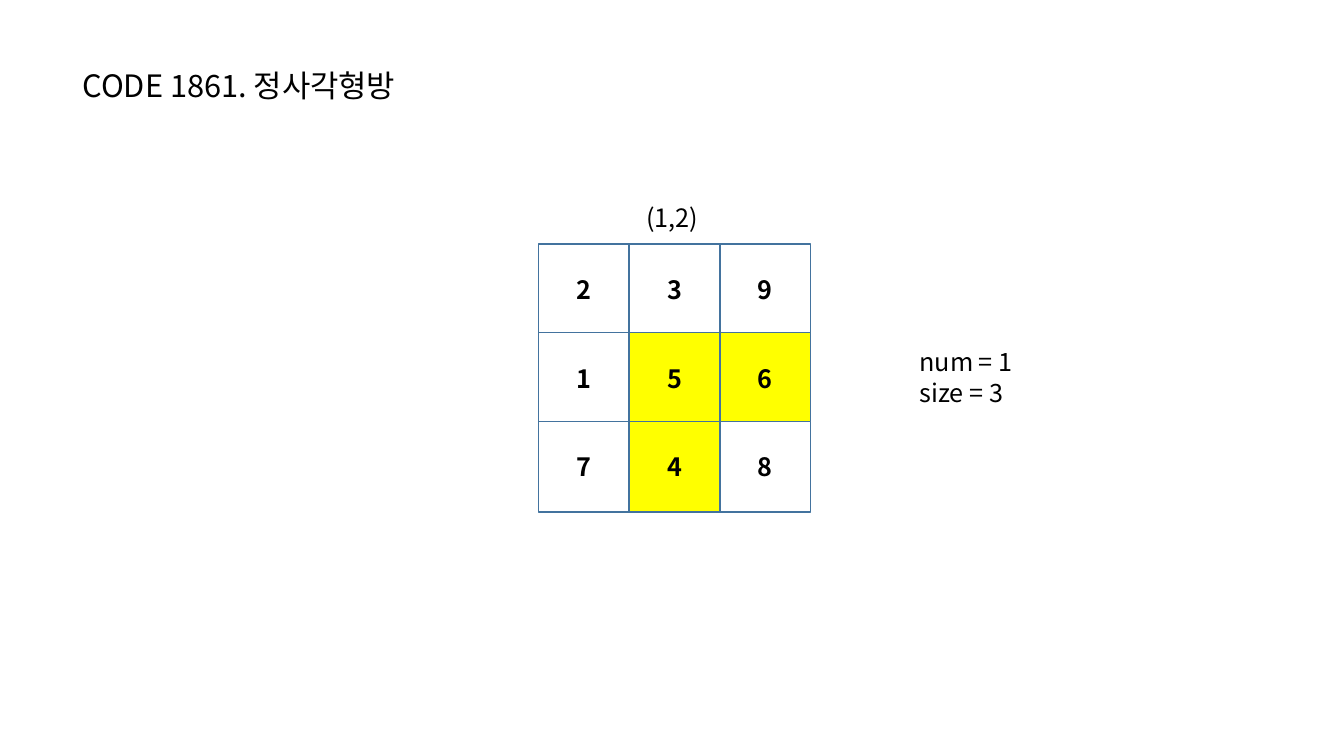
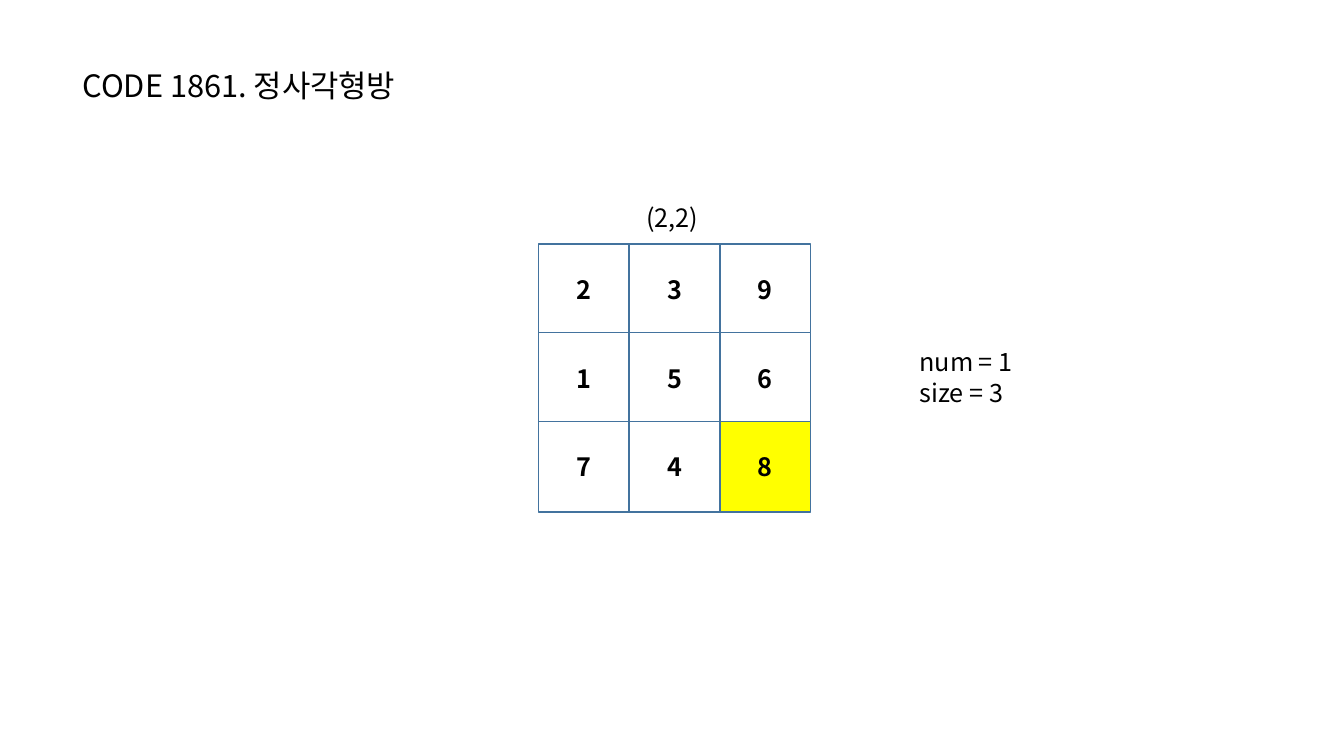
from dataclasses import dataclass

from lxml import etree
from pptx import Presentation
from pptx.dml.color import RGBColor
from pptx.enum.shapes import MSO_SHAPE
from pptx.enum.text import MSO_ANCHOR, MSO_AUTO_SIZE, PP_ALIGN
from pptx.oxml.ns import qn
from pptx.slide import Slide
from pptx.text.text import TextFrame
from pptx.util import Inches, Pt

RECT = MSO_SHAPE.RECTANGLE
MIDDLE = MSO_ANCHOR.MIDDLE
GROW = MSO_AUTO_SIZE.SHAPE_TO_FIT_TEXT
LEFT, CENTER = PP_ALIGN.LEFT, PP_ALIGN.CENTER


@dataclass(frozen=True)
class Theme:
    font: str = "Noto Sans CJK KR"
    ink: RGBColor = RGBColor(0, 0, 0)
    plain: RGBColor = RGBColor(255, 255, 255)
    mark: RGBColor = RGBColor(255, 255, 0)
    edge: RGBColor = RGBColor(0x43, 0x73, 0x9E)
    title: int = 22
    body: int = 18
    line: int = 1


@dataclass(frozen=True)
class Label:
    text: str
    left: float
    top: float
    width: float
    height: float
    size: int
    wrap: bool = False


@dataclass(frozen=True)
class Step:
    point: str
    marked: frozenset[int]


THEME = Theme()
TITLE = Label("CODE 1861. 정사각형방", 0.72, 0.61, 4.2, 0.47, THEME.title, True)
RESULT = Label("num = 1\nsize = 3", 9.02, 3.39, 1.18, 0.71, THEME.body)
ROOMS = ((2, 3, 9), (1, 5, 6), (7, 4, 8))
GRID_LEFT, GRID_TOP = 5.34, 2.42
SIDE, STEP_X, STEP_Y = 0.9, 0.9, 0.88
STEPS = (
    Step("(1,2)", frozenset({4, 5, 6})),
    Step("(2,2)", frozenset({8})),
)


def write(frame: TextFrame, text: str, size: int, align: PP_ALIGN, bold: bool) -> None:
    frame.text = text
    for para in frame.paragraphs:
        para.alignment = align
        font = para.font
        font.name = THEME.font
        font.size = Pt(size)
        font.bold = bold
        font.color.rgb = THEME.ink
        props = para._p.get_or_add_pPr().find(qn("a:defRPr"))
        etree.SubElement(props, qn("a:ea"), typeface=THEME.font)


def add_label(slide: Slide, label: Label) -> None:
    box = slide.shapes.add_textbox(
        Inches(label.left), Inches(label.top), Inches(label.width), Inches(label.height)
    )
    frame = box.text_frame
    frame.word_wrap = label.wrap
    frame.auto_size = GROW
    write(frame, label.text, label.size, LEFT, False)


def add_room(slide: Slide, row: int, col: int, marked: bool) -> None:
    room = slide.shapes.add_shape(
        RECT,
        Inches(GRID_LEFT + col * STEP_X),
        Inches(GRID_TOP + row * STEP_Y),
        Inches(SIDE),
        Inches(SIDE),
    )
    room.shadow.inherit = False
    room.fill.solid()
    room.fill.fore_color.rgb = THEME.mark if marked else THEME.plain
    room.line.color.rgb = THEME.edge
    room.line.width = Pt(THEME.line)
    room.text_frame.vertical_anchor = MIDDLE
    write(room.text_frame, str(ROOMS[row][col]), THEME.body, CENTER, True)


def add_step(slide: Slide, step: Step) -> None:
    for row, line in enumerate(ROOMS):
        for col, value in enumerate(line):
            add_room(slide, row, col, value in step.marked)
    add_label(slide, RESULT)
    add_label(slide, Label(step.point, 6.31, 1.96, 0.76, 0.4, THEME.body))
    add_label(slide, TITLE)


def main() -> None:
    deck = Presentation()
    deck.slide_width, deck.slide_height = Inches(13.33), Inches(7.5)
    blank = deck.slide_layouts[6]
    for step in STEPS:
        add_step(deck.slides.add_slide(blank), step)
    deck.save("out.pptx")


if __name__ == "__main__":
    main()
